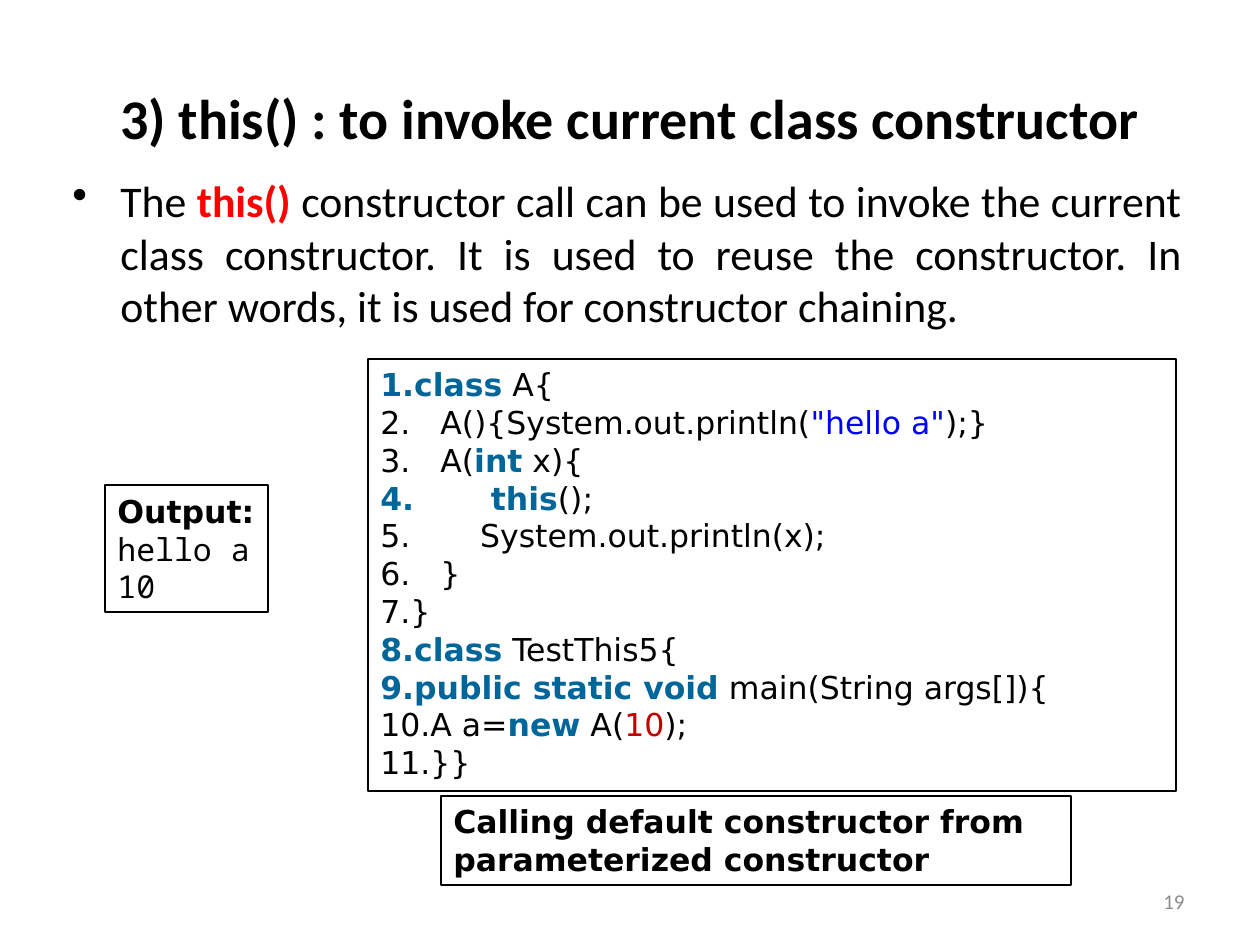
import pptx
import pptx.util
import pptx.dml.color
import pptx.enum.shapes
import pptx.enum.text
import pptx.oxml.ns
import lxml.etree

PX = 914400 / 126
ALIGN = pptx.enum.text.PP_ALIGN
ANCHOR = pptx.enum.text.MSO_ANCHOR
COLORS = {"text": "000000", "keyword": "006699", "string": "0000FF",
          "number": "C00000", "call": "FF0000", "page": "8C8C8C"}
BOLD = {"keyword", "call"}


def fill_text(sp, box, paras, size, font, align=ALIGN.LEFT, anchor=ANCHOR.TOP,
              bold=False, wrap=True, bullet=None, indent=0):
    for name, v in zip(("left", "top", "width", "height"), box):
        setattr(sp, name, round(v * PX))
    tf = sp.text_frame
    for name, v in {"word_wrap": wrap, "vertical_anchor": anchor,
                    "auto_size": pptx.enum.text.MSO_AUTO_SIZE.NONE}.items():
        setattr(tf, name, v)
    for i, runs in enumerate(paras):
        p = tf.paragraphs[0] if i == 0 else tf.add_paragraph()
        p.alignment = align
        if bullet:
            tag, attrs = bullet
            pPr = p._p.get_or_add_pPr()
            pPr.set("marL", str(round(indent * PX)))
            pPr.set("indent", str(round(-indent * PX)))
            lxml.etree.SubElement(pPr, pptx.oxml.ns.qn(tag), attrs)
        for text, kind in runs:
            r = p.add_run()
            r.text = text
            for name, v in {"name": font, "size": pptx.util.Pt(size),
                            "bold": bold or kind in BOLD}.items():
                setattr(r.font, name, v)
            r.font.color.rgb = pptx.dml.color.RGBColor.from_string(COLORS[kind])
    return tf


def add_box(s, box, paras, **fmt):
    sp = s.shapes.add_shape(pptx.enum.shapes.MSO_SHAPE.RECTANGLE, 0, 0, 0, 0)
    sp.shadow.inherit = False
    sp.fill.background()
    sp.line.color.rgb = pptx.dml.color.RGBColor.from_string(COLORS["text"])
    sp.line.width = pptx.util.Pt(0.75)
    return fill_text(sp, box, paras, 18, "DejaVu Sans", **fmt)


prs = pptx.Presentation()
prs.slide_width = round(1260 * PX)
prs.slide_height = round(945 * PX)
s = prs.slides.add_slide(prs.slide_layouts[5])

fill_text(s.shapes.title, (63, 38, 1134, 158),
          [[("3) this() : to invoke current class constructor", "text")]],
          32, "Calibri", align=ALIGN.CENTER, anchor=ANCHOR.MIDDLE, bold=True)

body = [[("The ", "text"), ("this()", "call"),
         (" constructor call can be used to invoke the current class constructor. "
          "It is used to reuse the constructor. In other words, it is used for "
          "constructor chaining.", "text")]]
fill_text(s.shapes.add_textbox(0, 0, 0, 0), (60, 168, 1134, 624), body, 25, "Calibri",
          align=ALIGN.JUSTIFY, bullet=("a:buChar", {"char": "•"}), indent=48)

code = [
    [("class", "keyword"), (" A{", "text")],
    [("   A(){System.out.println(", "text"), ('"hello a"', "string"), (");}", "text")],
    [("   A(", "text"), ("int", "keyword"), (" x){", "text")],
    [("       this", "keyword"), ("();", "text")],
    [("       System.out.println(x);", "text")],
    [("   }", "text")],
    [("}", "text")],
    [("class", "keyword"), (" TestThis5{", "text")],
    [("public static void", "keyword"), (" main(String args[]){", "text")],
    [("A a=", "text"), ("new", "keyword"), (" A(", "text"), ("10", "number"), (");", "text")],
    [("}}", "text")],
]
add_box(s, (368, 359, 808, 432), code, bullet=("a:buAutoNum", {"type": "arabicPeriod"}))

tf = add_box(s, (105, 485, 163, 127),
             [[(line, "text")] for line in ("Output:", "hello a", "10")],
             anchor=ANCHOR.MIDDLE, wrap=False)
tf.paragraphs[0].runs[0].font.bold = True
for p in tf.paragraphs[1:]:
    p.runs[0].font.name = "Noto Sans Mono"

add_box(s, (441, 796, 630, 89),
        [[("Calling default constructor from parameterized constructor", "text")]], bold=True)

fill_text(s.shapes.add_textbox(0, 0, 0, 0), (903, 876, 294, 50), [[("19", "page")]],
          12, "Calibri", align=ALIGN.RIGHT, anchor=ANCHOR.MIDDLE)

prs.save("out.pptx")
